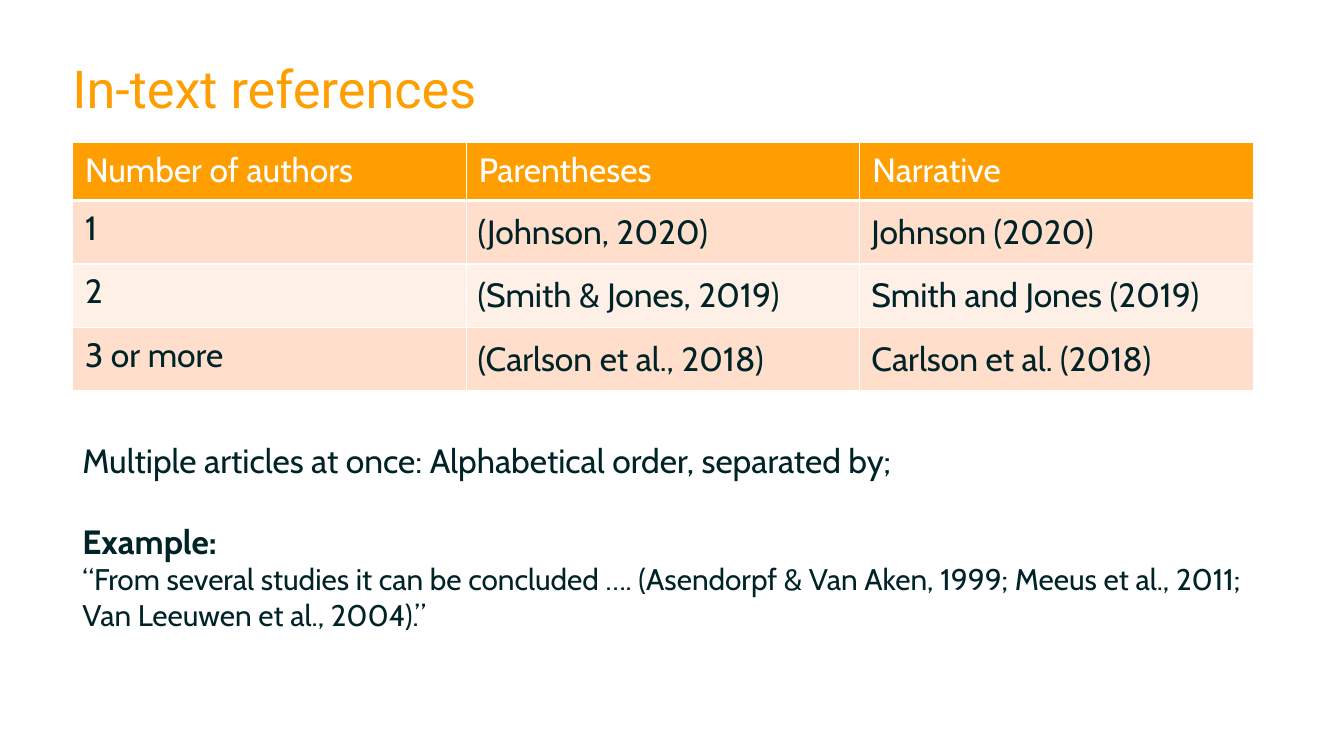
from lxml import etree
from pptx import Presentation
from pptx.dml.color import RGBColor
from pptx.enum.text import MSO_AUTO_SIZE
from pptx.oxml.ns import qn
from pptx.util import Pt

PX = 9525
FIT = MSO_AUTO_SIZE.SHAPE_TO_FIT_TEXT
HUES = {"gold": "FF9E00", "ink": "002328", "white": "FFFFFF",
        "peach": "FFDFCC", "cream": "FFF0E7"}
LEFT, COL, HEAD, ROW = 69, 375, 55, 60


def style(para, size, hue, face="Cabin", bold=False):
    for run in para.runs:
        font = run.font
        font.size, font.name, font.bold = Pt(size), face, bold
        font.color.rgb = RGBColor.from_string(HUES[hue])


def border(cell, side, width):
    """Add a white border to one side; call before the cell gets its fill."""
    props = cell._tc.get_or_add_tcPr()
    line = etree.SubElement(props, qn("a:" + side), w=str(Pt(width)))
    fill = etree.SubElement(line, qn("a:solidFill"))
    etree.SubElement(fill, qn("a:srgbClr"), val=HUES["white"])


deck = Presentation()
deck.slide_width, deck.slide_height = 1280 * PX, 720 * PX
slide = deck.slides.add_slide(deck.slide_layouts[6])

# Title
title = slide.shapes.add_textbox(LEFT * PX, 56 * PX, 1144 * PX, 81 * PX)
frame = title.text_frame
frame.word_wrap = True
frame.margin_left = frame.margin_top = 0
frame.margin_right = frame.margin_bottom = 0
frame.text = "In-text references"
frame.paragraphs[0].line_spacing = Pt(42.7)
style(frame.paragraphs[0], 37.3, "gold", "Roboto")

# Table of citation forms
FORMS = [
    ("Number of authors", "Parentheses", "Narrative"),
    ("1", "(Johnson, 2020)", "Johnson (2020)"),
    ("2", "(Smith & Jones, 2019)", "Smith and Jones (2019)"),
    ("3 or more", "(Carlson et al., 2018)", "Carlson et al. (2018)"),
]
FILLS = ["gold", "peach", "cream", "peach"]
table = slide.shapes.add_table(4, 3, LEFT * PX, 136 * PX, 3 * COL * PX,
                               (HEAD + 3 * ROW) * PX).table
for col in table.columns:
    col.width = COL * PX
for r, texts in enumerate(FORMS):
    table.rows[r].height = (ROW if r else HEAD) * PX
    for c, text in enumerate(texts):
        cell = table.cell(r, c)
        cell.text = text
        style(cell.text_frame.paragraphs[0], 24, "ink" if r else "white")
        side, edge = (11, 11) if r and c else (12, 7)
        cell.margin_left = cell.margin_right = side * PX
        cell.margin_top = cell.margin_bottom = edge * PX
        for name in ("lnL", "lnR", "lnT", "lnB"):
            border(cell, name, 3 if r == 0 and name == "lnB" else 1)
        cell.fill.solid()
        cell.fill.fore_color.rgb = RGBColor.from_string(HUES[FILLS[r]])

# Rule for several articles, with an example: text, size, bold, space before
NOTES = [
    ("Multiple articles at once: Alphabetical order, separated by;", 24, False, 0),
    ("Example:", 24, True, 29),
    ("“From several studies it can be concluded …. (Asendorpf & Van Aken, 1999; "
     "Meeus et al., 2011; Van Leeuwen et al., 2004).”", 21.3, False, 0),
]
notes = slide.shapes.add_textbox(LEFT * PX, 414 * PX, 3 * COL * PX, 195 * PX)
frame = notes.text_frame
frame.word_wrap = True
frame.auto_size = FIT
for i, (text, size, bold, gap) in enumerate(NOTES):
    para = frame.add_paragraph() if i else frame.paragraphs[0]
    para.text = text
    para.space_before = Pt(gap)
    style(para, size, "ink", bold=bold)

deck.save("out.pptx")
